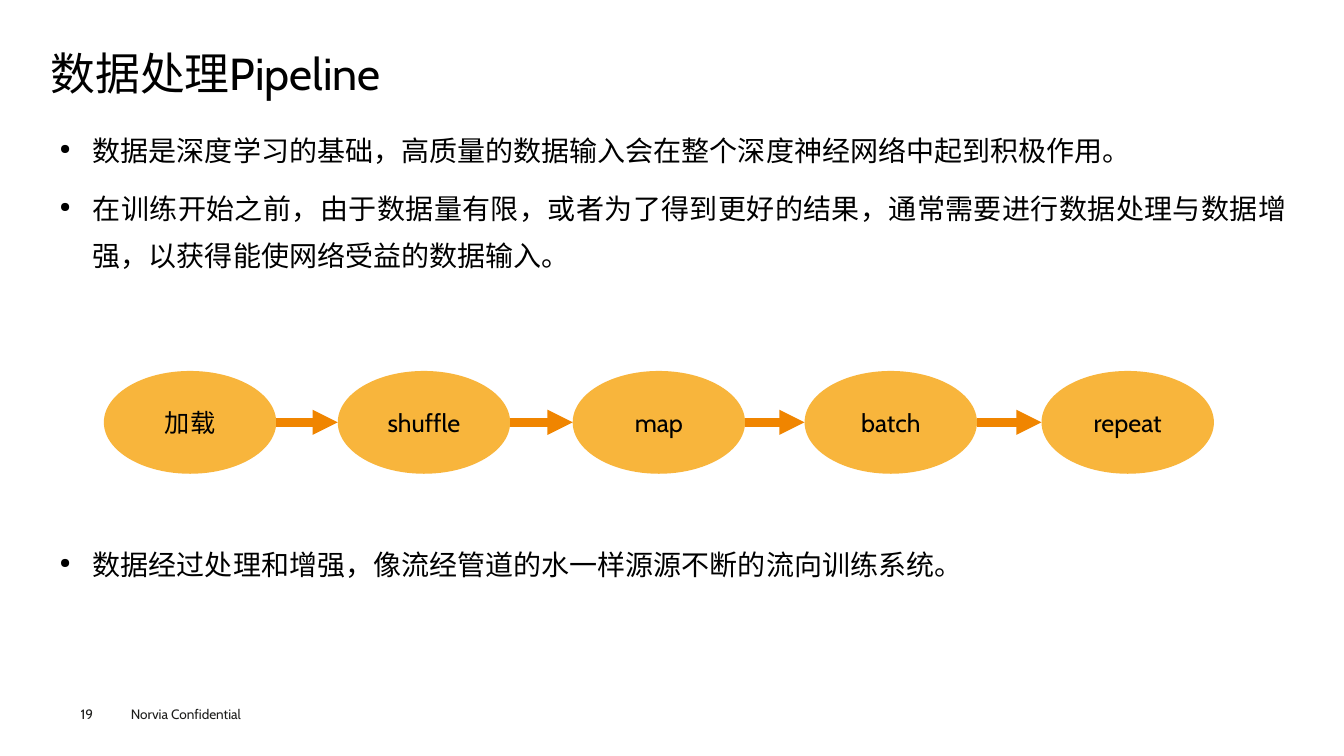
"""Builds the data processing pipeline slide."""
from lxml.etree import SubElement
from pptx import Presentation
from pptx.dml.color import RGBColor
from pptx.enum.lang import MSO_LANGUAGE_ID as LANG
from pptx.enum.shapes import MSO_CONNECTOR, MSO_SHAPE
from pptx.enum.text import MSO_ANCHOR as ANCHOR, PP_ALIGN as ALIGN
from pptx.oxml.ns import qn
from pptx.util import Inches, Pt

TITLE = "数据处理Pipeline"
INTRO = [
    "数据是深度学习的基础，高质量的数据输入会在整个深度神经网络中起到积极作用。",
    "在训练开始之前，由于数据量有限，或者为了得到更好的结果，通常需要进行数据处理与数据增强，以获得能使网络受益的数据输入。",
]
SUMMARY = ["数据经过处理和增强，像流经管道的水一样源源不断的流向训练系统。"]
STAGES = [("加载", 1.03), ("shuffle", 3.35), ("map", 5.68), ("batch", 7.98), ("repeat", 10.33)]
FOOTER, PAGE = "Norvia Confidential", "19"

COLORS = {"text": "000000", "footer": "1D1D1B", "stage": "F8B53C", "arrow": "F08500"}
FONT = "Cabin"
LEFT, WIDTH = 0.5, 12.35
STAGE_TOP, STAGE_W, STAGE_H = 3.68, 1.71, 1.02
BULLET = {"alignment": ALIGN.JUSTIFY, "line_spacing": 1.4, "space_before": Pt(7.9)}


def color(name):
    return RGBColor.from_string(COLORS[name])


def set_all(obj, values):
    for name, value in values.items():
        setattr(obj, name, value)


def write(tf, lines, size, ink="text", **para):
    for i, line in enumerate(lines):
        p = tf.add_paragraph() if i else tf.paragraphs[0]
        set_all(p, para)
        r = p.add_run()
        r.text = line
        set_all(r.font, {"name": FONT, "size": Pt(size), "language_id": LANG.SIMPLIFIED_CHINESE})
        r.font.color.rgb = color(ink)


def add_text(s, box, lines, size, inset=(0, 0), ink="text", anchor=ANCHOR.TOP, **para):
    tf = s.shapes.add_textbox(*map(Inches, box)).text_frame
    x, y = map(Inches, inset)
    set_all(tf, {"word_wrap": True, "vertical_anchor": anchor, "margin_left": x,
                 "margin_right": x, "margin_top": y, "margin_bottom": y})
    write(tf, lines, size, ink, **para)
    return tf


def add_bullets(s, top, height, lines):
    tf = add_text(s, (LEFT, top, WIDTH, height), lines, 20, (0.09, 0.04), **BULLET)
    for p in tf.paragraphs:
        ppr = p._p.get_or_add_pPr()
        ppr.set("marL", str(Inches(0.33)))
        ppr.set("indent", str(Inches(-0.33)))
        SubElement(ppr, qn("a:buSzPct"), val="50000")
        SubElement(ppr, qn("a:buChar"), char="●")


def add_stage(s, label, left):
    sp = s.shapes.add_shape(MSO_SHAPE.OVAL, *map(Inches, (left, STAGE_TOP, STAGE_W, STAGE_H)))
    sp.shadow.inherit = False
    sp.fill.solid()
    sp.fill.fore_color.rgb = color("stage")
    sp.line.fill.background()
    sp.text_frame.vertical_anchor = ANCHOR.MIDDLE
    write(sp.text_frame, [label], 18, alignment=ALIGN.CENTER)


def add_arrow(s, start, end):
    y = STAGE_TOP + STAGE_H / 2
    cn = s.shapes.add_connector(MSO_CONNECTOR.STRAIGHT, *map(Inches, (start, y, end, y)))
    cn.line.color.rgb = color("arrow")
    cn.line.width = Pt(6)
    SubElement(cn.line._get_or_add_ln(), qn("a:tailEnd"), type="triangle")
    SubElement(cn._element.spPr, qn("a:effectLst"))


def main():
    prs = Presentation()
    prs.slide_width, prs.slide_height = Inches(13.33), Inches(7.5)
    s = prs.slides.add_slide(prs.slide_layouts[6])
    add_text(s, (1.2, 6.95, 1.6, 0.27), [FOOTER], 9.7, (0.1, 0.05), "footer")
    add_text(s, (0.8, 7, 0.55, 0.16), [PAGE], 9.7, ink="footer")
    add_text(s, (LEFT, 0.49, WIDTH, 0.53), [TITLE], 32, anchor=ANCHOR.MIDDLE, line_spacing=0.9)
    add_bullets(s, 1.15, 1.75, INTRO)
    add_bullets(s, 5.26, 0.7, SUMMARY)
    for label, left in STAGES:
        add_stage(s, label, left)
    for (_, left), (_, following) in zip(STAGES, STAGES[1:]):
        add_arrow(s, left + STAGE_W, following)
    prs.save("out.pptx")


if __name__ == "__main__":
    main()
